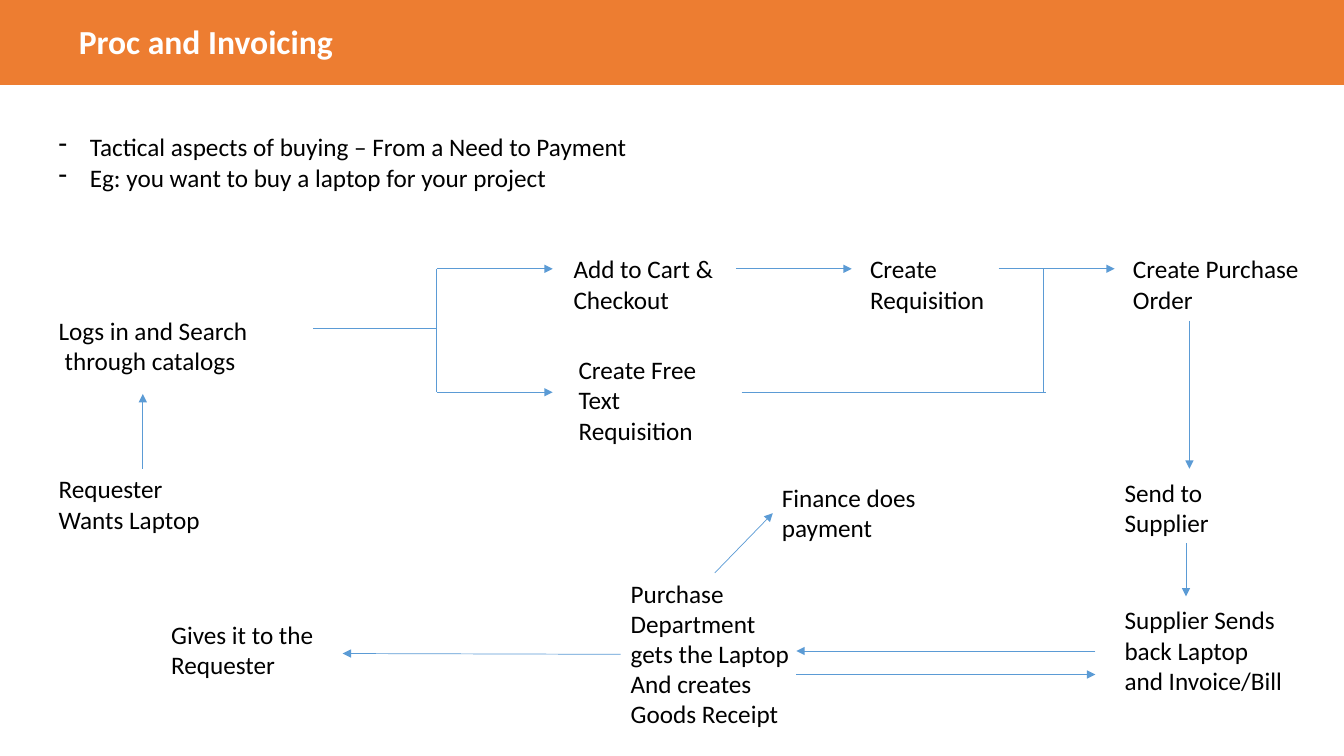
from dataclasses import dataclass

from lxml import etree
from pptx import Presentation
from pptx.dml.color import RGBColor
from pptx.enum.shapes import MSO_CONNECTOR, MSO_SHAPE
from pptx.oxml.ns import qn
from pptx.util import Inches, Pt

RECT = MSO_SHAPE.RECTANGLE
STRAIGHT = MSO_CONNECTOR.STRAIGHT
WIDE, HIGH = Inches(13.333), Inches(7.5)
COLS, ROWS = 160, 90


@dataclass(frozen=True)
class Theme:
    font: str = "Calibri"
    bar: RGBColor = RGBColor(0xED, 0x7D, 0x31)
    line: RGBColor = RGBColor(0x5B, 0x9B, 0xD5)
    ink: RGBColor = RGBColor(0, 0, 0)
    light: RGBColor = RGBColor(255, 255, 255)
    head: int = 24
    body: int = 18
    stroke: float = 0.5


THEME = Theme()

TOP, MID, LOW = 32, 39.1, 46.7
FORK, JOIN = 52, 124.2
STEP, SIDE = 20.5, 22.3
TWO, THREE, FIVE = 8.5, 12.1, 19.4

NOTES = [
    "Tactical aspects of buying – From a Need to Payment",
    "Eg: you want to buy a laptop for your project",
]

STEPS = [
    (5.8, 55.8, SIDE, TWO, ["Requester Wants Laptop"]),
    (67.1, 29.6, STEP, TWO, ["Add to Cart & Checkout"]),
    (102.4, 29.6, STEP, TWO, ["Create Requisition"]),
    (133.7, 29.6, SIDE, TWO, ["Create Purchase Order"]),
    (67.7, 41.6, STEP, THREE, ["Create Free Text Requisition"]),
    (132.7, 56.2, SIDE, TWO, ["Send to Supplier"]),
    (132.7, 71.4, SIDE, THREE, ["Supplier Sends back Laptop and Invoice/Bill"]),
    (73.9, 68.2, SIDE, FIVE,
     ["Purchase Department gets the Laptop", "And creates Goods Receipt"]),
    (19.2, 73.1, SIDE, TWO, ["Gives it to the Requester"]),
    (91.9, 56.8, SIDE, TWO, ["Finance does payment"]),
]

LINES = [
    (37.3, MID, FORK, MID),
    (FORK, TOP, FORK, LOW),
    (88.3, LOW, 124.5, LOW),
    (JOIN, TOP, JOIN, LOW),
]

ARROWS = [
    (17, 55.8, 17, 46.9),
    (FORK, TOP, 65.8, TOP),
    (FORK, LOW, 65.8, LOW),
    (87.6, TOP, 101.4, TOP),
    (118.9, TOP, 132.7, TOP),
    (141.6, 38.2, 141.6, 55.8),
    (141.2, 64.7, 141.2, 71),
    (130.4, 77.5, 94.8, 77.5),
    (94.8, 80.3, 130.4, 80.3),
    (73.9, 77.9, 40.8, 77.8),
    (85.1, 68.2, 92, 61.1),
]


def across(col):
    return round(WIDE * col / COLS)


def down(row):
    return round(HIGH * row / ROWS)


def place(x, y, w, h):
    return across(x), down(y), across(w), down(h)


def indent(para, left, first=0, mark=None):
    props = para._p.get_or_add_pPr()
    props.set("marL", str(Inches(left)))
    props.set("indent", str(Inches(first)))
    if mark:
        etree.SubElement(props, qn("a:buChar")).set("char", mark)


def add_text(slide, x, y, w, h, texts, size=THEME.body, ink=THEME.ink,
             bold=False, mark=None):
    frame = slide.shapes.add_textbox(*place(x, y, w, h)).text_frame
    frame.word_wrap = True
    for i, text in enumerate(texts):
        para = frame.add_paragraph() if i else frame.paragraphs[0]
        if mark:
            indent(para, 0.31, -0.31, mark)
        run = para.add_run()
        run.text = text
        font = run.font
        font.name, font.size, font.bold = THEME.font, Pt(size), bold
        font.color.rgb = ink
    return frame


def add_bar(slide, x, y, w, h):
    bar = slide.shapes.add_shape(RECT, *place(x, y, w, h))
    bar.shadow.inherit = False
    bar.fill.solid()
    bar.fill.fore_color.rgb = THEME.bar
    bar.line.fill.background()


def add_line(slide, x1, y1, x2, y2, arrow=False):
    link = slide.shapes.add_connector(
        STRAIGHT, across(x1), down(y1), across(x2), down(y2))
    link.line.color.rgb = THEME.line
    link.line.width = Pt(THEME.stroke)
    if arrow:
        stroke = link.line._get_or_add_ln()
        etree.SubElement(stroke, qn("a:tailEnd")).set("type", "triangle")
    etree.SubElement(link._element.spPr, qn("a:effectLst"))


def main():
    deck = Presentation()
    deck.slide_width, deck.slide_height = WIDE, HIGH
    slide = deck.slides.add_slide(deck.slide_layouts[6])
    add_bar(slide, 0, 0, COLS, 10.1)
    add_text(slide, 8.2, 1.9, 81.8, 6, ["Proc and Invoicing"],
             THEME.head, THEME.light, True)
    add_text(slide, 5.8, 15.1, 81.8, 7.7, NOTES, mark="-")
    search = add_text(slide, 5.8, 36.9, 30, TWO,
                      ["Logs in and Search", "through catalogs"])
    indent(search.paragraphs[1], 0.06)
    for step in STEPS:
        add_text(slide, *step)
    for line in LINES:
        add_line(slide, *line)
    for line in ARROWS:
        add_line(slide, *line, arrow=True)
    deck.save("out.pptx")


if __name__ == "__main__":
    main()
